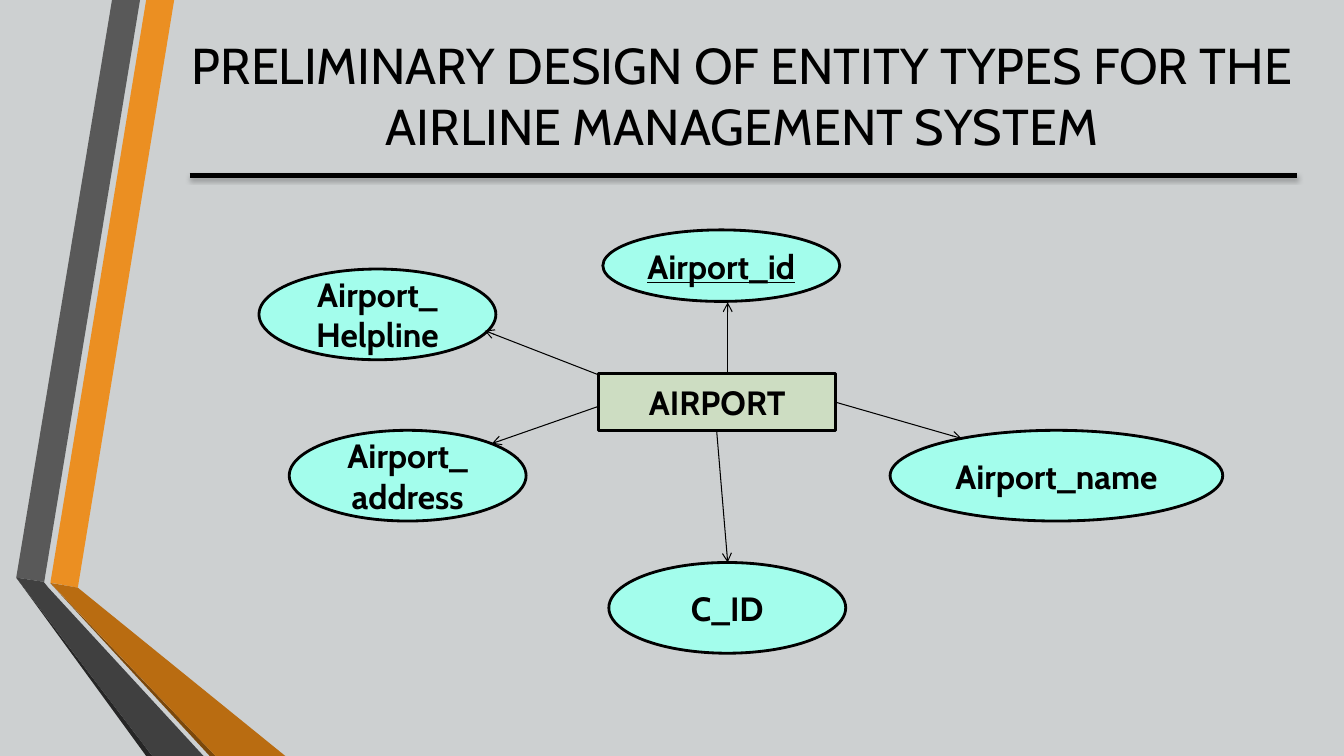
from dataclasses import dataclass
from typing import Any, NamedTuple

import lxml.etree
import pptx
import pptx.dml.color
import pptx.enum.shapes
import pptx.enum.text
import pptx.oxml
import pptx.oxml.ns
import pptx.util

Pt = pptx.util.Pt
Shapes = pptx.enum.shapes.MSO_SHAPE


@dataclass(frozen=True)
class Theme:
    font: str = "Cabin"
    background: str = "CDD0D1"
    ink: str = "000000"
    entity: str = "CDDDC2"
    attribute: str = "A3FDEC"
    title_size: float = 36
    label_size: float = 24
    rule_width: float = 3
    entity_width: float = 2.25
    attribute_width: float = 2
    arrow_width: float = 0.75


class Ribbon(NamedTuple):
    color: str
    points: list[tuple[float, float]]


class Node(NamedTuple):
    lines: list[str]
    left: float
    top: float
    width: float = 169.2
    height: float = 64.8
    underline: bool = False


class Link(NamedTuple):
    start: tuple[float, float]
    end: tuple[float, float]


THEME = Theme()

RIBBONS = [
    Ribbon("EB8F22", [(36, 416.2), (55.6, 419.8), (124.4, 0), (104.4, 0)]),
    Ribbon("595959", [(100, 0), (80, 0), (11.6, 412.6), (31.6, 415.6)]),
    Ribbon("262626", [(11.6, 412.6), (104.4, 540), (108.8, 540)]),
    Ribbon("7B480B", [(36, 416.6), (149.8, 540), (154, 540)]),
    Ribbon("B96C11", [(36, 416.4), (154, 540), (203.8, 540), (55.6, 419.8)]),
    Ribbon("404040", [(145.4, 540), (34.6, 419.8), (31.2, 415.6), (11.6, 412.6), (108.8, 540)]),
]

ENTITY = Node(["AIRPORT"], 427.7, 267.1, height=40.3)

ATTRIBUTES = [
    Node(["Airport_id"], 430.6, 164.2, height=51.1, underline=True),
    Node(["Airport_", "address"], 206.6, 307.4),
    Node(["Airport_name"], 635.8, 307.4, width=237.6),
    Node(["C_ID"], 434.9, 401.8),
    Node(["Airport_", "Helpline"], 185, 192.2),
]

LINKS = [
    Link((519.8, 267.1), (519.8, 216)),
    Link((427.7, 290.2), (351.4, 316.8)),
    Link((596.9, 287.3), (686.9, 313.2)),
    Link((511.9, 307.4), (519.8, 401.8)),
    Link((427.7, 267.8), (346.3, 236.2)),
]


def rgb(color: str) -> Any:
    return pptx.dml.color.RGBColor.from_string(color)


def apply(target: Any, values: dict[str, Any]) -> None:
    for name, value in values.items():
        setattr(target, name, value)


def paint(shape: Any, color: str) -> None:
    shape.shadow.inherit = False
    shape.fill.solid()
    shape.fill.fore_color.rgb = rgb(color)


def write(box: Any, lines: list[str], size: float, **font: Any) -> None:
    frame = box.text_frame
    apply(frame, {
        "word_wrap": True,
        "vertical_anchor": pptx.enum.text.MSO_ANCHOR.MIDDLE,
        "margin_left": 0, "margin_right": 0, "margin_top": 0, "margin_bottom": 0,
    })
    for index, line in enumerate(lines):
        para = frame.add_paragraph() if index else frame.paragraphs[0]
        para.alignment = pptx.enum.text.PP_ALIGN.CENTER
        span = para.add_run()
        span.text = line
        apply(span.font, {"name": THEME.font, "size": Pt(size), **font})
        span.font.color.rgb = rgb(THEME.ink)


def draw_ribbon(page: Any, ribbon: Ribbon) -> None:
    corners = [(Pt(x), Pt(y)) for x, y in ribbon.points]
    builder = page.shapes.build_freeform(*corners[0])
    builder.add_line_segments(corners[1:], close=True)
    shape = builder.convert_to_shape()
    paint(shape, ribbon.color)
    shape.line.fill.background()


def draw_node(page: Any, node: Node, kind: Any, color: str, width: float) -> None:
    shape = page.shapes.add_shape(
        kind, Pt(node.left), Pt(node.top), Pt(node.width), Pt(node.height))
    paint(shape, color)
    shape.line.color.rgb = rgb(THEME.ink)
    shape.line.width = Pt(width)
    write(shape, node.lines, THEME.label_size, bold=True, underline=node.underline)


def draw_line(page: Any, link: Link, width: float) -> tuple[Any, Any]:
    line = page.shapes.add_connector(
        pptx.enum.shapes.MSO_CONNECTOR.STRAIGHT,
        *(Pt(value) for value in (*link.start, *link.end)))
    line.line.color.rgb = rgb(THEME.ink)
    line.line.width = Pt(width)
    effects = lxml.etree.SubElement(
        line._element.spPr, pptx.oxml.ns.qn("a:effectLst"))
    return line, effects


def draw_arrow(page: Any, link: Link) -> None:
    line, _ = draw_line(page, link, THEME.arrow_width)
    lxml.etree.SubElement(
        line.line._get_or_add_ln(), pptx.oxml.ns.qn("a:tailEnd"), type="arrow")


def draw_title_rule(page: Any) -> None:
    _, effects = draw_line(page, Link((135.4, 125.3), (926.6, 125.3)), THEME.rule_width)
    effects.append(pptx.oxml.parse_xml(
        f'<a:outerShdw {pptx.oxml.ns.nsdecls("a")} blurRad="{Pt(3.1)}" dist="{Pt(1.8)}" '
        f'dir="5400000" rotWithShape="0"><a:srgbClr val="{THEME.ink}">'
        '<a:alpha val="35000"/></a:srgbClr></a:outerShdw>'))


def main() -> None:
    deck = pptx.Presentation()
    apply(deck, {"slide_width": Pt(960), "slide_height": Pt(540)})
    page = deck.slides.add_slide(deck.slide_layouts[6])
    page.background.fill.solid()
    page.background.fill.fore_color.rgb = rgb(THEME.background)

    for ribbon in RIBBONS:
        draw_ribbon(page, ribbon)
    title = page.shapes.add_textbox(Pt(100), Pt(0), Pt(860), Pt(135.4))
    write(title, ["PRELIMINARY DESIGN OF ENTITY TYPES FOR THE AIRLINE MANAGEMENT SYSTEM"],
          THEME.title_size)
    draw_title_rule(page)
    draw_node(page, ENTITY, Shapes.RECTANGLE, THEME.entity, THEME.entity_width)
    for node in ATTRIBUTES:
        draw_node(page, node, Shapes.OVAL, THEME.attribute, THEME.attribute_width)
    for link in LINKS:
        draw_arrow(page, link)
    deck.save("out.pptx")


main()
